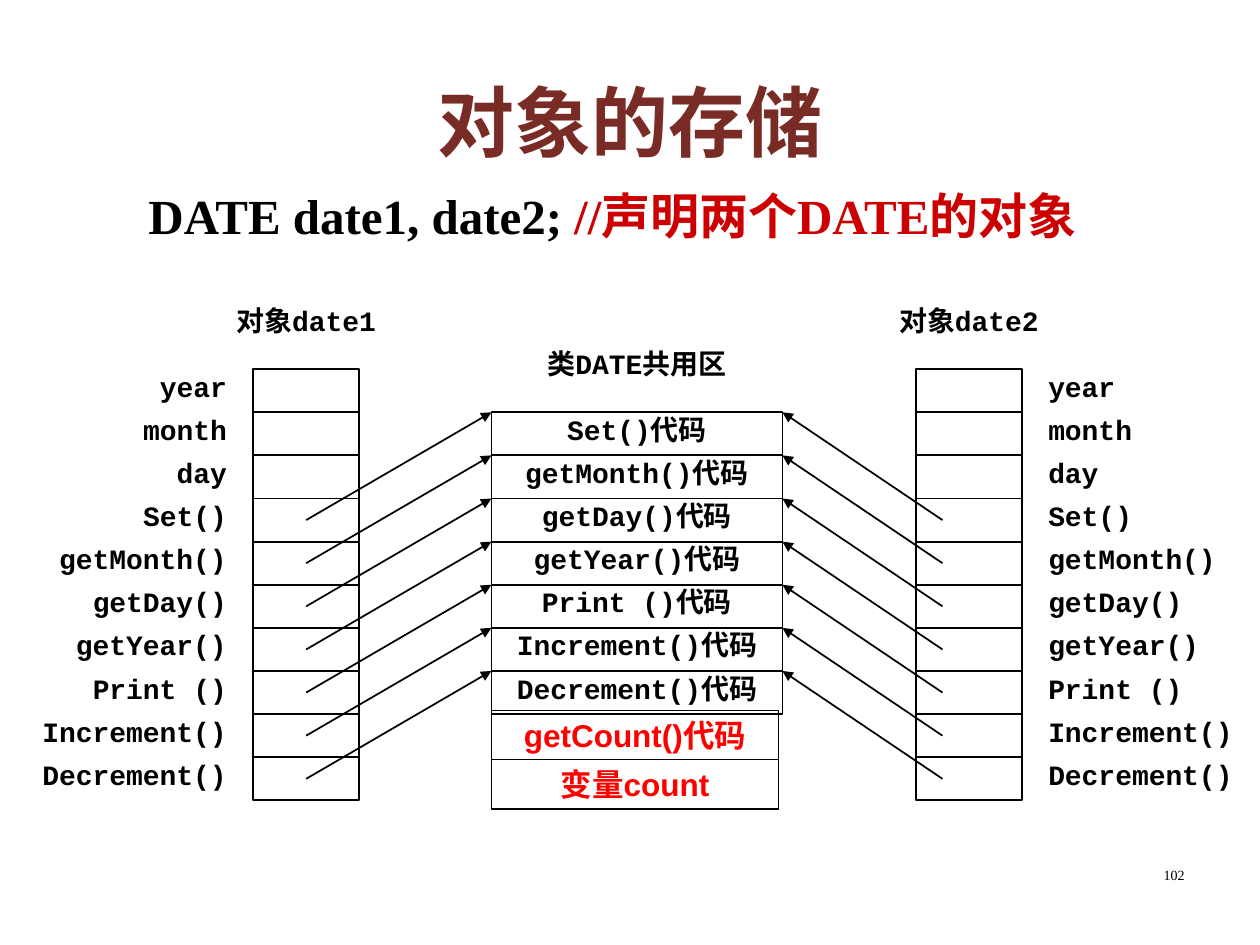
from dataclasses import dataclass

from lxml import etree
from pptx import Presentation
from pptx.dml.color import RGBColor
from pptx.enum.shapes import MSO_CONNECTOR, MSO_SHAPE
from pptx.enum.text import MSO_ANCHOR, PP_ALIGN
from pptx.oxml.ns import qn
from pptx.util import Inches, Pt

LEFT, CENTER, RIGHT = PP_ALIGN.LEFT, PP_ALIGN.CENTER, PP_ALIGN.RIGHT
JUSTIFY = PP_ALIGN.JUSTIFY
TOP, MIDDLE = MSO_ANCHOR.TOP, MSO_ANCHOR.MIDDLE
RECT, STRAIGHT = MSO_SHAPE.RECTANGLE, MSO_CONNECTOR.STRAIGHT

BLACK, RED, CRIMSON, BROWN = "000000", "FF0000", "CC0000", "792B25"
SERIF, MONO, SANS = "Times New Roman", "Courier New", "Arial"

FIELDS = ["year", "month", "day"]
METHODS = ["Set()", "getMonth()", "getDay()", "getYear()", "Print ()",
           "Increment()", "Decrement()"]
ROW = 3.08 / 9
CELLS_TOP = 2.93
CODE_TOP = CELLS_TOP + ROW
CELL_W = 0.84
CODE_X, CODE_W = 3.9, 2.31


@dataclass
class Run:
    text: str
    font: str
    color: str = BLACK


@dataclass
class Record:
    """One object: its column of cells, its labels and its arrows."""
    name: str
    x: float
    head_x: float
    label_x: float
    label_w: float
    align: PP_ALIGN
    start_x: float
    end_x: float


RECORDS = [
    Record("date1", 2.01, 1.59, 0.12, 1.68, RIGHT, 2.43, CODE_X),
    Record("date2", 7.27, 6.85, 8.32, 1.47, JUSTIFY, 7.48, CODE_X + CODE_W),
]


def rgb(code: str) -> RGBColor:
    return RGBColor.from_string(code)


def write(shape, runs: list[Run], size: float = 16, bold: bool = True,
          align: PP_ALIGN = CENTER, anchor: MSO_ANCHOR = TOP,
          inset: tuple[float, float] = (0, 0), wrap: bool = True) -> None:
    frame = shape.text_frame
    frame.word_wrap = wrap
    frame.vertical_anchor = anchor
    frame.margin_left = frame.margin_right = Inches(inset[0])
    frame.margin_top = frame.margin_bottom = Inches(inset[1])
    para = frame.paragraphs[0]
    para.alignment = align
    for item in runs:
        run = para.add_run()
        run.text = item.text
        run.font.name = item.font
        run.font.size = Pt(size)
        run.font.bold = bold
        run.font.color.rgb = rgb(item.color)


def add_text(slide, x: float, y: float, w: float, h: float,
             runs: list[Run], **style) -> None:
    box = slide.shapes.add_textbox(Inches(x), Inches(y), Inches(w), Inches(h))
    write(box, runs, **style)


def add_cell(slide, x: float, y: float, w: float, h: float,
             line: float = 1):
    cell = slide.shapes.add_shape(RECT, Inches(x), Inches(y),
                                  Inches(w), Inches(h))
    cell.shadow.inherit = False
    cell.fill.background()
    cell.line.color.rgb = rgb(BLACK)
    cell.line.width = Pt(line)
    return cell


def add_arrow(slide, x1: float, y1: float, x2: float, y2: float) -> None:
    arrow = slide.shapes.add_connector(STRAIGHT, Inches(x1), Inches(y1),
                                       Inches(x2), Inches(y2))
    arrow.line.color.rgb = rgb(BLACK)
    arrow.line.width = Pt(1)
    etree.SubElement(arrow.line._get_or_add_ln(), qn("a:tailEnd"),
                     type="triangle")
    etree.SubElement(arrow._element.spPr, qn("a:effectLst"))


def add_record(slide, rec: Record) -> None:
    add_text(slide, rec.head_x, 2.41, 1.68, ROW,
             [Run("对象", SERIF), Run(rec.name, MONO)])
    for i, label in enumerate(FIELDS + METHODS):
        y = CELLS_TOP + i * ROW
        add_text(slide, rec.label_x, y, rec.label_w, ROW,
                 [Run(label, MONO)], align=rec.align)
        add_cell(slide, rec.x, y, CELL_W, ROW)


def add_links(slide, rec: Record) -> None:
    """Point each method cell at the top corner of its code cell."""
    for i in range(len(METHODS)):
        y = CELLS_TOP + (len(FIELDS) + i + 0.5) * ROW
        add_arrow(slide, rec.start_x, y, rec.end_x, CODE_TOP + i * ROW)


def add_shared(slide) -> None:
    add_text(slide, CODE_X, 2.75, CODE_W, ROW,
             [Run("类", SERIF), Run("DATE共用区", MONO)])
    for i, name in enumerate(METHODS):
        cell = add_cell(slide, CODE_X, CODE_TOP + i * ROW, CODE_W, ROW)
        write(cell, [Run(name + "代码", MONO)])


def add_static(slide) -> None:
    for i, label in enumerate(["getCount()代码", "变量count"]):
        cell = add_cell(slide, CODE_X, 5.64 + i * 0.39, 2.28, 0.39, line=0.75)
        write(cell, [Run(label, SANS, RED)], size=18, anchor=MIDDLE,
              inset=(0.1, 0.05), wrap=False)


def main() -> None:
    deck = Presentation()
    deck.slide_width, deck.slide_height = Inches(10), Inches(7.5)
    slide = deck.slides.add_slide(deck.slide_layouts[5])

    title = slide.shapes.title
    title.left, title.top = Inches(0.5), Inches(0.42)
    title.width, title.height = Inches(9), Inches(1.08)
    write(title, [Run("对象的存储", SERIF, BROWN)], size=44, anchor=MIDDLE,
          inset=(0.1, 0.05))

    add_text(slide, 1.08, 1.42, 8.17, 0.83,
             [Run("DATE date1, date2; ", SERIF),
              Run("//声明两个DATE的对象", SERIF, CRIMSON)],
             size=28, align=LEFT, inset=(0.1, 0.05))

    for rec in RECORDS:
        add_record(slide, rec)
    add_shared(slide)
    for rec in RECORDS:
        add_links(slide, rec)
    add_static(slide)

    add_text(slide, 7.17, 6.83, 2.33, 0.52, [Run("102", SERIF)], size=8,
             bold=False, align=RIGHT, inset=(0.1, 0.05))
    deck.save("out.pptx")


if __name__ == "__main__":
    main()
